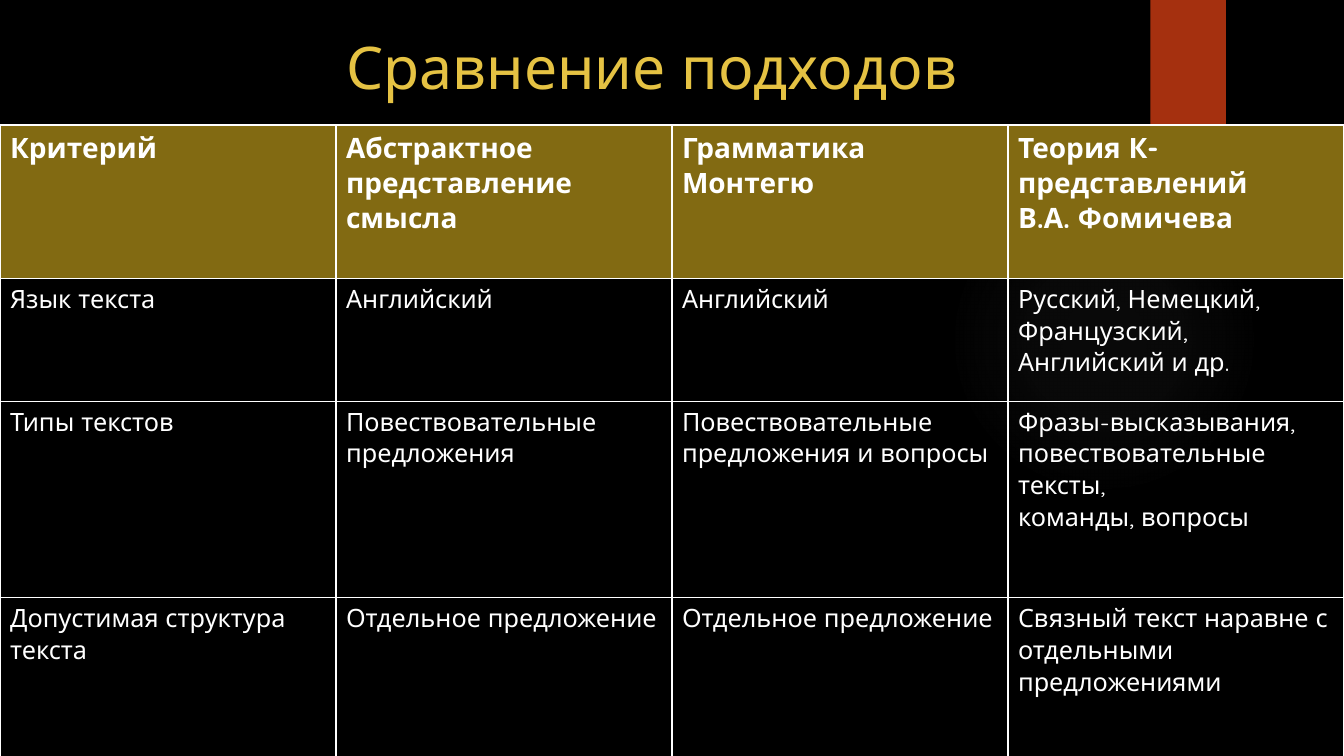
from lxml import etree
from pptx import Presentation
from pptx.dml.color import RGBColor
from pptx.enum import shapes, text
from pptx.oxml import parse_xml
from pptx.oxml.ns import nsdecls
from pptx.util import Inches, Pt

TITLE = "Сравнение подходов"
ROWS = [
    ("Критерий", "Абстрактное представление смысла", "Грамматика Монтегю",
     "Теория К-представлений \vВ.А. Фомичева"),
    ("Язык текста", "Английский", "Английский",
     "Русский, Немецкий, Французский, Английский и др."),
    ("Типы текстов", "Повествовательные предложения",
     "Повествовательные предложения и вопросы",
     "Фразы-высказывания, повествовательные тексты,\nкоманды, вопросы"),
    ("Допустимая структура текста", "Отдельное предложение",
     "Отдельное предложение",
     "Связный текст наравне с отдельными предложениями"),
]
ROW_HEIGHTS = (1.52, 1.22, 1.95, 1.58)
WIDTH, HEIGHT = 13.33, 7.5
TABLE_TOP = 1.24

FONT = "Quicksand"
BLACK = RGBColor(0x00, 0x00, 0x00)
WHITE = RGBColor(0xFF, 0xFF, 0xFF)
GOLD = RGBColor(0xE5, 0xC2, 0x43)
OLIVE = RGBColor(0x82, 0x6A, 0x12)
RUST = RGBColor(0xA5, 0x30, 0x0F)
GREY = RGBColor(0x84, 0x84, 0x84)
GLOW_STOPS = ((0, 7), (36, 6), (69, 0))  # position and opacity, percent


def format_text(frame, size, color, bold=False):
    for paragraph in frame.paragraphs:
        for run in paragraph.runs:
            run.font.name = FONT
            run.font.size = Pt(size)
            run.font.bold = bold
            run.font.color.rgb = color


def add_plain_shape(slide, kind, left, top, width, height):
    shape = slide.shapes.add_shape(
        kind, Inches(left), Inches(top), Inches(width), Inches(height))
    shape.shadow.inherit = False
    shape.line.fill.background()
    return shape


def fill_with_glow(shape):
    """Give the shape a radial gradient that fades to transparent."""
    stops = "".join(
        f'<a:gs pos="{position * 1000}"><a:srgbClr val="{GREY}">'
        f'<a:alpha val="{opacity * 1000}"/></a:srgbClr></a:gs>'
        for position, opacity in GLOW_STOPS)
    gradient = parse_xml(
        f'<a:gradFill {nsdecls("a")} rotWithShape="1"><a:gsLst>{stops}</a:gsLst>'
        '<a:path path="circle"><a:fillToRect l="50000" t="50000" r="50000" '
        'b="50000"/></a:path></a:gradFill>')
    shape.fill.background()
    properties = shape.fill._xPr
    properties.replace(properties.find("{*}noFill"), gradient)


def add_borders(cell):
    properties = cell._tc.get_or_add_tcPr()
    for side in ("lnL", "lnR", "lnT", "lnB"):
        properties.append(parse_xml(
            f'<a:{side} {nsdecls("a")} w="{Pt(1)}"><a:solidFill>'
            f'<a:srgbClr val="{WHITE}"/></a:solidFill></a:{side}>'))


def add_comparison(slide):
    table = slide.shapes.add_table(
        len(ROWS), len(ROWS[0]), 0, Inches(TABLE_TOP),
        Inches(WIDTH), Inches(sum(ROW_HEIGHTS))).table
    table.horz_banding = False
    for column in table.columns:
        column.width = Inches(WIDTH / len(ROWS[0]))
    for row_index, (values, height) in enumerate(zip(ROWS, ROW_HEIGHTS)):
        table.rows[row_index].height = Inches(height)
        is_header = row_index == 0
        for column_index, value in enumerate(values):
            cell = table.cell(row_index, column_index)
            cell.text_frame.text = value
            format_text(cell.text_frame, 20 if is_header else 18, WHITE, is_header)
            add_borders(cell)
            if is_header:
                cell.fill.solid()
                cell.fill.fore_color.rgb = OLIVE
            else:
                cell.fill.background()


def add_title(slide):
    title = slide.shapes.title
    title.left, title.top = Inches(1.32), Inches(0.23)
    title.width, title.height = Inches(10.29), Inches(0.85)
    frame = title.text_frame
    frame.text = TITLE
    frame.vertical_anchor = text.MSO_ANCHOR.MIDDLE
    frame.paragraphs[0].alignment = text.PP_ALIGN.CENTER
    format_text(frame, 42, GOLD)


def main():
    presentation = Presentation()
    presentation.slide_width = Inches(WIDTH)
    presentation.slide_height = Inches(HEIGHT)
    slide = presentation.slides.add_slide(presentation.slide_layouts[5])
    slide.background.fill.solid()
    slide.background.fill.fore_color.rgb = BLACK

    glow = add_plain_shape(slide, shapes.MSO_SHAPE.OVAL, 9.41, 1.83, 3.08, 3.08)
    fill_with_glow(glow)
    ribbon = add_plain_shape(slide, shapes.MSO_SHAPE.RECTANGLE, 11.41, 0, 0.75, 1.25)
    ribbon.fill.solid()
    ribbon.fill.fore_color.rgb = RUST
    add_title(slide)
    add_comparison(slide)
    presentation.save("out.pptx")


if __name__ == "__main__":
    main()
